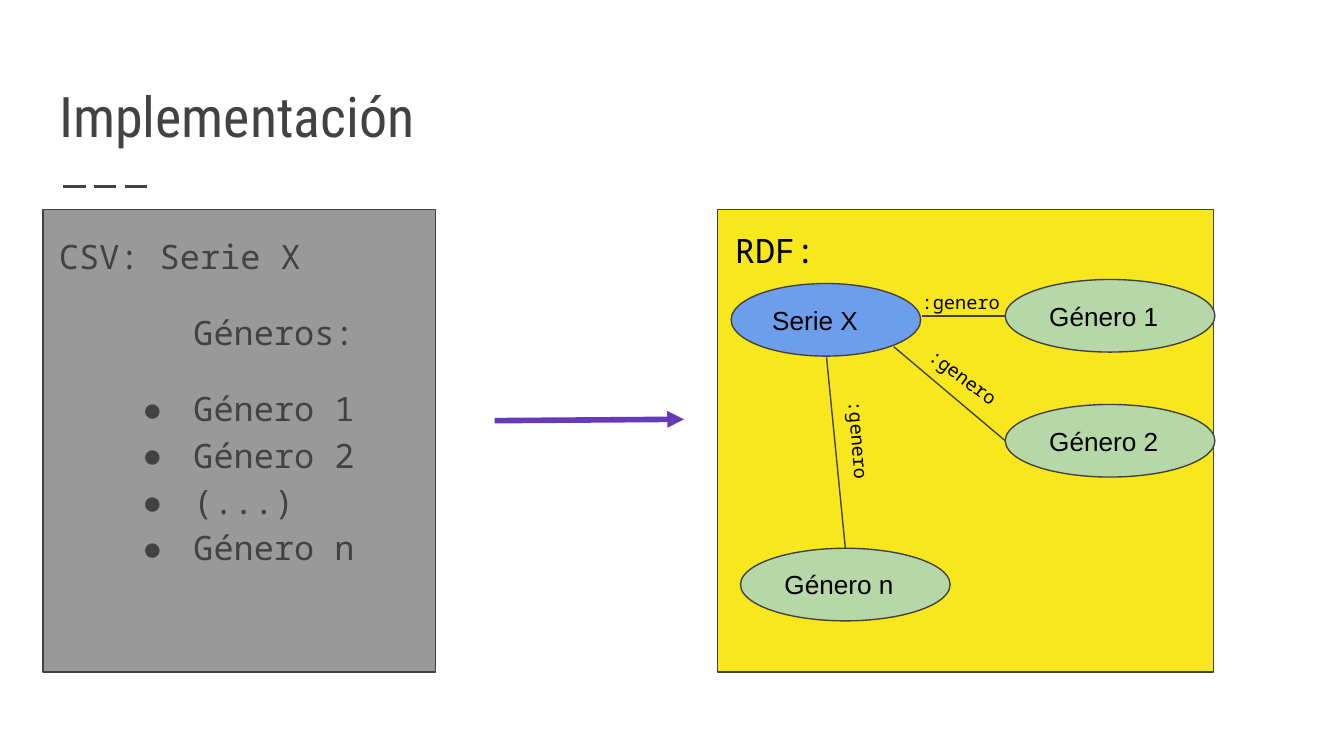
import pptx
import pptx.util
import pptx.dml.color
import pptx.enum.dml
import pptx.enum.shapes
import pptx.enum.text
import pptx.oxml.ns
import lxml.etree
from dataclasses import dataclass

Inches = pptx.util.Inches
Pt = pptx.util.Pt
RGB = pptx.dml.color.RGBColor.from_string
Shape = pptx.enum.shapes.MSO_SHAPE
Anchor = pptx.enum.text.MSO_ANCHOR
qn = pptx.oxml.ns.qn


@dataclass(frozen=True)
class Theme:
    ink: str = "424242"
    black: str = "000000"
    csv: str = "999999"
    rdf: str = "F8E71C"
    series: str = "6D9EEB"
    genre: str = "B6D7A8"
    arrow: str = "673AB7"
    heading: str = "Roboto Condensed"
    mono: str = "Noto Sans Mono"
    sans: str = "Arial"
    title_size: int = 30
    body_size: int = 18
    node_size: int = 14
    label_size: int = 10
    outline: float = 0.75


theme = Theme()


def write(shape, lines, font, size, color, anchor=Anchor.TOP):
    frame = shape.text_frame
    frame.word_wrap = True
    frame.vertical_anchor = anchor
    frame.margin_left = frame.margin_right = Inches(0.1)
    frame.margin_top = frame.margin_bottom = Inches(0.1)
    frame.text = "\n".join(lines)
    for paragraph in frame.paragraphs:
        paragraph.alignment = pptx.enum.text.PP_ALIGN.LEFT
        paragraph.font.name = font
        paragraph.font.size = Pt(size)
        paragraph.font.color.rgb = RGB(color)
    return frame.paragraphs


def draw_line(x1, y1, x2, y2, color=theme.ink, width=theme.outline):
    line = slide.shapes.add_connector(
        pptx.enum.shapes.MSO_CONNECTOR.STRAIGHT,
        Inches(x1), Inches(y1), Inches(x2), Inches(y2))
    line.line.color.rgb = RGB(color)
    line.line.width = Pt(width)
    lxml.etree.SubElement(line._element.spPr, qn("a:effectLst"))
    return line


deck = pptx.Presentation()
deck.slide_width = Inches(10)
deck.slide_height = Inches(10) * 9 // 16
slide = deck.slides.add_slide(deck.slide_layouts[5])

title = slide.shapes.title
title.left, title.top = Inches(0.34), Inches(0.41)
title.width, title.height = Inches(9.32), Inches(0.8)
write(title, ["Implementación"], theme.heading, theme.title_size, theme.ink, Anchor.BOTTOM)

title_rule = draw_line(0.47, 1.39, 1.14, 1.39, width=1.5)
title_rule.line.dash_style = pptx.enum.dml.MSO_LINE.LONG_DASH

boxes = [
    (Shape.RECTANGLE, 0.32, 1.56, 2.92, 3.44, theme.csv, ""),
    (Shape.RECTANGLE, 5.34, 1.56, 3.69, 3.44, theme.rdf, ""),
    (Shape.OVAL, 5.44, 2.11, 1.41, 0.54, theme.series, "Serie X"),
    (Shape.OVAL, 7.48, 2.08, 1.56, 0.54, theme.genre, "Género 1"),
    (Shape.OVAL, 7.48, 3.01, 1.56, 0.54, theme.genre, "Género 2"),
    (Shape.OVAL, 5.51, 4.08, 1.56, 0.54, theme.genre, "Género n"),
]
for kind, x, y, w, h, fill, name in boxes:
    box = slide.shapes.add_shape(kind, Inches(x), Inches(y), Inches(w), Inches(h))
    box.shadow.inherit = False
    box.fill.solid()
    box.fill.fore_color.rgb = RGB(fill)
    box.line.color.rgb = RGB(theme.ink)
    box.line.width = Pt(theme.outline)
    if name:
        write(box, [name], theme.sans, theme.node_size, theme.black, Anchor.MIDDLE)

csv_text = slide.shapes.add_textbox(Inches(0.34), Inches(1.61), Inches(2.92), Inches(3.39))
csv_lines = ["CSV: Serie X", "Géneros:", "Género 1", "Género 2", "(...)", "Género n"]
csv_paragraphs = write(csv_text, csv_lines, theme.mono, theme.body_size, theme.ink)
for index, paragraph in enumerate(csv_paragraphs):
    paragraph.line_spacing = 1.15
    paragraph.space_before = Pt(16 if index in (1, 2) else 0)
    properties = paragraph._p.get_or_add_pPr()
    if index >= 1:
        properties.set("marL", str(Inches(1)))
    if index >= 2:
        properties.set("indent", str(Inches(-0.38)))
        run_defaults = properties.find(qn("a:defRPr"))
        for tag, name, value in [("a:buSzPts", "val", str(theme.body_size * 100)),
                                 ("a:buFont", "typeface", theme.mono),
                                 ("a:buChar", "char", "●")]:
            run_defaults.addprevious(lxml.etree.Element(qn(tag), {name: value}))

conversion = draw_line(3.68, 3.13, 5.09, 3.12, theme.arrow, 3)
lxml.etree.SubElement(conversion.line._get_or_add_ln(), qn("a:tailEnd"), type="triangle")

for ends in [(6.86, 2.35, 7.48, 2.35), (6.65, 2.58, 7.48, 3.28), (6.15, 2.66, 6.29, 4.08)]:
    draw_line(*ends)

labels = [
    (5.37, 1.61, 1.03, 0.46, 0, "RDF:", theme.body_size),
    (6.05, 3.21, 0.84, 0.18, 85.5, ":genero", theme.label_size),
    (6.82, 2.67, 0.84, 0.18, 36.6, ":genero", theme.label_size),
    (6.76, 2.08, 0.84, 0.18, 0, ":genero", theme.label_size),
]
for x, y, w, h, angle, words, size in labels:
    label = slide.shapes.add_textbox(Inches(x), Inches(y), Inches(w), Inches(h))
    label.rotation = angle
    write(label, [words], theme.mono, size, theme.black)

deck.save("out.pptx")
